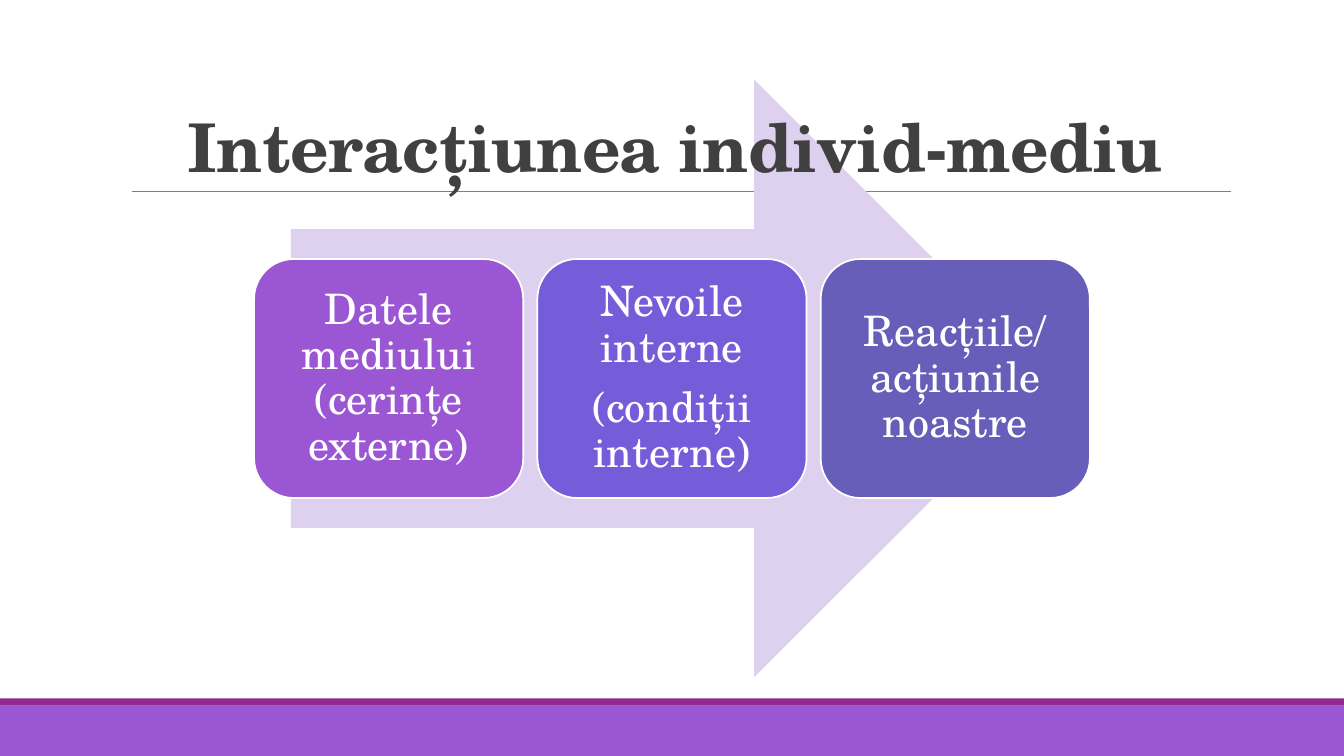
from lxml.etree import SubElement
from pptx import Presentation
from pptx.dml.color import RGBColor
from pptx.enum.shapes import MSO_CONNECTOR, MSO_SHAPE
from pptx.enum.text import MSO_ANCHOR, PP_ALIGN
from pptx.oxml.ns import qn
from pptx.util import Inches, Pt

FONT = "TeX Gyre Schola"
WHITE = RGBColor(0xFF, 0xFF, 0xFF)
DARK_GRAY = RGBColor(0x40, 0x40, 0x40)
RULE_GRAY = RGBColor(0x80, 0x80, 0x80)
PURPLE = RGBColor(0x9B, 0x57, 0xD3)
MAGENTA = RGBColor(0x92, 0x27, 0x8F)
LAVENDER = RGBColor(0xDE, 0xD1, 0xEF)
VIOLET = RGBColor(0x75, 0x5D, 0xD9)
INDIGO = RGBColor(0x66, 0x5E, 0xB8)

SLIDE_WIDTH, SLIDE_HEIGHT = 13.33, 7.5
STEPS = [
    (PURPLE, ["Datele mediului (cerințe externe)"]),
    (VIOLET, ["Nevoile interne", "(condiții interne)"]),
    (INDIGO, ["Reacțiile/ acțiunile noastre"]),
]


def add_filled_shape(slide, kind, left, top, width, height, color):
    shape = slide.shapes.add_shape(
        kind, Inches(left), Inches(top), Inches(width), Inches(height))
    shape.shadow.inherit = False
    shape.fill.solid()
    shape.fill.fore_color.rgb = color
    shape.line.fill.background()
    return shape


def style_paragraph(paragraph, size, color, line_spacing, bold=False):
    paragraph.alignment = PP_ALIGN.CENTER
    paragraph.line_spacing = line_spacing
    paragraph.font.name = FONT
    paragraph.font.size = Pt(size)
    paragraph.font.bold = bold
    paragraph.font.color.rgb = color


def add_footer_bands(slide, top, band_height, stripe_height):
    add_filled_shape(slide, MSO_SHAPE.RECTANGLE,
                     0, top, SLIDE_WIDTH, band_height, PURPLE)
    add_filled_shape(slide, MSO_SHAPE.RECTANGLE,
                     0, top - stripe_height, SLIDE_WIDTH, stripe_height, MAGENTA)


def add_title_rule(slide, left, top, width):
    rule = slide.shapes.add_connector(
        MSO_CONNECTOR.STRAIGHT,
        Inches(left), Inches(top), Inches(left + width), Inches(top))
    rule.line.color.rgb = RULE_GRAY
    rule.line.width = Pt(0.5)
    SubElement(rule.element.spPr, qn("a:effectLst"))


def add_title(slide, left, top, width, height):
    box = slide.shapes.add_textbox(
        Inches(left), Inches(top), Inches(width), Inches(height))
    frame = box.text_frame
    frame.word_wrap = True
    frame.vertical_anchor = MSO_ANCHOR.BOTTOM
    paragraph = frame.paragraphs[0]
    run = paragraph.add_run()
    run.text = "Interacțiunea individ-mediu"
    style_paragraph(paragraph, 48, DARK_GRAY, 0.85, bold=True)
    run.font._element.set("spc", "-50")


def add_step(slide, left, top, width, height, color, lines):
    card = add_filled_shape(slide, MSO_SHAPE.ROUNDED_RECTANGLE,
                            left, top, width, height, color)
    card.line.color.rgb = WHITE
    card.line.width = Pt(1.25)
    frame = card.text_frame
    frame.word_wrap = True
    frame.vertical_anchor = MSO_ANCHOR.MIDDLE
    frame.margin_left = frame.margin_right = Inches(0.12)
    frame.margin_top = frame.margin_bottom = Inches(0.12)
    for index, line in enumerate(lines):
        paragraph = frame.paragraphs[0] if index == 0 else frame.add_paragraph()
        paragraph.text = line
        style_paragraph(paragraph, 30, WHITE, 0.9)
        paragraph.space_after = Pt(10.5)


def add_process(slide, left, top, width, height):
    """Place a wide arrow with a row of step cards across its middle."""
    arrow_width = 7.56
    add_filled_shape(slide, MSO_SHAPE.RIGHT_ARROW,
                     left + (width - arrow_width) / 2, top,
                     arrow_width, height, LAVENDER)
    gap = 0.14
    card_width = (width - gap * (len(STEPS) - 1)) / len(STEPS)
    card_height = height * 0.4
    card_top = top + (height - card_height) / 2
    for index, (color, lines) in enumerate(STEPS):
        add_step(slide, left + index * (card_width + gap), card_top,
                 card_width, card_height, color, lines)


def main():
    presentation = Presentation()
    presentation.slide_width = Inches(SLIDE_WIDTH)
    presentation.slide_height = Inches(SLIDE_HEIGHT)
    slide = presentation.slides.add_slide(presentation.slide_layouts[6])
    add_footer_bands(slide, top=7, band_height=0.5, stripe_height=0.07)
    add_title_rule(slide, 1.31, 1.9, 10.9)
    add_process(slide, 2.52, 0.79, 8.29, 5.93)
    add_title(slide, 1.2, 0.31, 11, 1.59)
    presentation.save("out.pptx")


if __name__ == "__main__":
    main()
